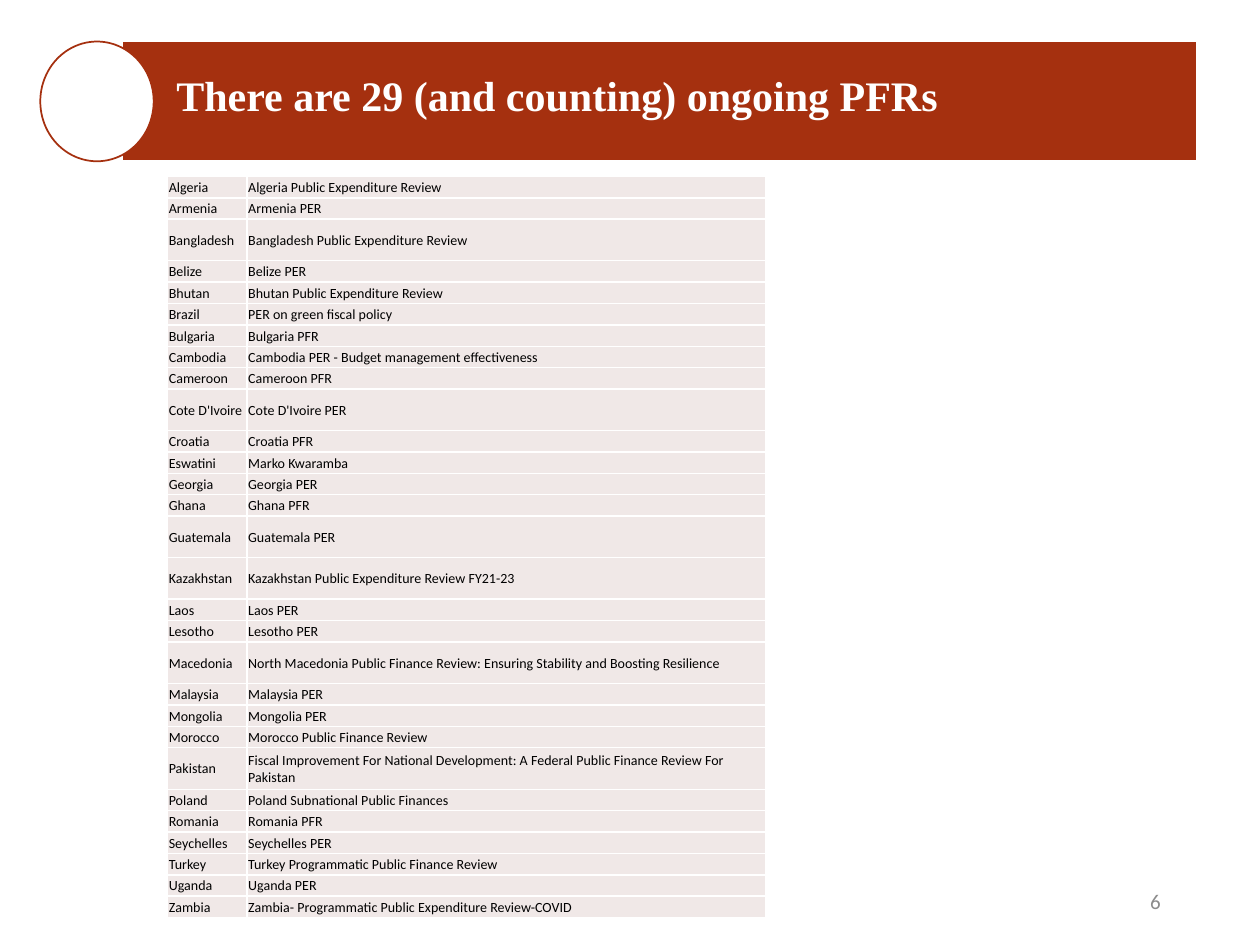
from lxml import etree
from pptx import Presentation
from pptx.dml.color import RGBColor
from pptx.enum.shapes import MSO_SHAPE
from pptx.enum.text import MSO_ANCHOR, PP_ALIGN
from pptx.oxml.ns import qn
from pptx.util import Inches, Pt

RECTANGLE = MSO_SHAPE.RECTANGLE
OVAL = MSO_SHAPE.OVAL
MIDDLE = MSO_ANCHOR.MIDDLE
LEFT = PP_ALIGN.LEFT
RIGHT = PP_ALIGN.RIGHT

RUST = "A5300F"
WHITE = "FFFFFF"
BLACK = "000000"
GRAY = "8C8C8C"
CELL_FILL = "F0E8E7"

COLUMN_WIDTHS = (0.63, 4.12)
ROW_HEIGHT = 0.17
TALL_ROW_HEIGHT = 0.33
TALL_ROWS = {"Bangladesh", "Cote D'Ivoire", "Guatemala", "Kazakhstan", "Macedonia", "Pakistan"}

REVIEWS = [
    ("Algeria", "Algeria Public Expenditure Review"),
    ("Armenia", "Armenia PER"),
    ("Bangladesh", "Bangladesh Public Expenditure Review"),
    ("Belize", "Belize PER"),
    ("Bhutan", "Bhutan Public Expenditure Review"),
    ("Brazil", "PER on green fiscal policy"),
    ("Bulgaria", "Bulgaria PFR"),
    ("Cambodia", "Cambodia PER - Budget management effectiveness"),
    ("Cameroon", "Cameroon PFR"),
    ("Cote D'Ivoire", "Cote D'Ivoire PER"),
    ("Croatia", "Croatia PFR"),
    ("Eswatini", "Marko Kwaramba"),
    ("Georgia", "Georgia PER"),
    ("Ghana", "Ghana PFR"),
    ("Guatemala", "Guatemala PER"),
    ("Kazakhstan", "Kazakhstan Public Expenditure Review FY21-23"),
    ("Laos", "Laos PER"),
    ("Lesotho", "Lesotho PER"),
    ("Macedonia", "North Macedonia Public Finance Review: Ensuring Stability and Boosting Resilience"),
    ("Malaysia", "Malaysia PER"),
    ("Mongolia", "Mongolia PER"),
    ("Morocco", "Morocco Public Finance Review"),
    ("Pakistan", "Fiscal Improvement For National Development: A Federal Public Finance Review For Pakistan"),
    ("Poland", "Poland Subnational Public Finances"),
    ("Romania", "Romania PFR"),
    ("Seychelles", "Seychelles PER"),
    ("Turkey", "Turkey Programmatic Public Finance Review"),
    ("Uganda", "Uganda PER"),
    ("Zambia", "Zambia- Programmatic Public Expenditure Review-COVID"),
]


def rgb(color):
    return RGBColor.from_string(color)


def style_font(font, name, size, color, bold=False):
    font.name = name
    font.size = Pt(size)
    font.bold = bold
    font.color.rgb = rgb(color)


def set_margins(holder, left, top, right, bottom):
    holder.margin_left = Inches(left)
    holder.margin_top = Inches(top)
    holder.margin_right = Inches(right)
    holder.margin_bottom = Inches(bottom)


def add_outlined_shape(shapes, kind, bounds, fill, outline):
    shape = shapes.add_shape(kind, *map(Inches, bounds))
    shape.shadow.inherit = False
    shape.fill.solid()
    shape.fill.fore_color.rgb = rgb(fill)
    shape.line.color.rgb = rgb(outline)
    shape.line.width = Pt(1)


def add_label(shapes, text, bounds, margins, align, font_name, size, color, bold=False):
    frame = shapes.add_textbox(*map(Inches, bounds)).text_frame
    frame.word_wrap = True
    frame.vertical_anchor = MIDDLE
    set_margins(frame, *margins)
    frame.text = text
    paragraph = frame.paragraphs[0]
    paragraph.alignment = align
    style_font(paragraph.runs[0].font, font_name, size, color, bold)
    return paragraph


def add_banner(slide):
    banner = slide.shapes.add_group_shape().shapes
    add_outlined_shape(banner, RECTANGLE, (0.97, 0.33, 8.53, 0.95), RUST, WHITE)
    title = add_label(banner, "There are 29 (and counting) ongoing PFRs",
                      (0.97, 0.15, 8.53, 1.25), (0.43, 0.07, 0.07, 0.07),
                      LEFT, "Times New Roman", 24, WHITE, bold=True)
    title.line_spacing = 0.9
    add_outlined_shape(banner, OVAL, (0.32, 0.33, 0.9, 0.95), WHITE, RUST)


def add_cell_borders(cell, color, width):
    properties = cell._tc.get_or_add_tcPr()
    for side in ("lnL", "lnR", "lnT", "lnB"):
        border = etree.SubElement(properties, qn(f"a:{side}"), w=str(Pt(width)))
        fill = etree.SubElement(border, qn("a:solidFill"))
        etree.SubElement(fill, qn("a:srgbClr"), val=color)


def fill_cell(cell, text):
    add_cell_borders(cell, WHITE, 1)
    cell.fill.solid()
    cell.fill.fore_color.rgb = rgb(CELL_FILL)
    cell.vertical_anchor = MIDDLE
    set_margins(cell, 0.01, 0.01, 0.01, 0)
    cell.text_frame.text = text
    style_font(cell.text_frame.paragraphs[0].runs[0].font, "Calibri", 8, BLACK)


def add_review_table(slide):
    heights = [TALL_ROW_HEIGHT if country in TALL_ROWS else ROW_HEIGHT for country, _ in REVIEWS]
    table = slide.shapes.add_table(
        len(REVIEWS), len(COLUMN_WIDTHS), Inches(1.33), Inches(1.4),
        Inches(sum(COLUMN_WIDTHS)), Inches(sum(heights))).table
    table.first_row = False
    table.horz_banding = False
    for column, width in zip(table.columns, COLUMN_WIDTHS):
        column.width = Inches(width)
    for row, height, review in zip(table.rows, heights, REVIEWS):
        row.height = Inches(height)
        for cell, text in zip(row.cells, review):
            fill_cell(cell, text)


def main():
    presentation = Presentation()
    presentation.slide_width = Inches(10)
    presentation.slide_height = Inches(7.5)
    slide = presentation.slides.add_slide(presentation.slide_layouts[6])
    add_banner(slide)
    add_label(slide.shapes, "6", (7.06, 6.95, 2.25, 0.4), (0.1, 0.05, 0.1, 0.05),
              RIGHT, "Calibri", 12, GRAY)
    add_review_table(slide)
    presentation.save("out.pptx")


if __name__ == "__main__":
    main()
